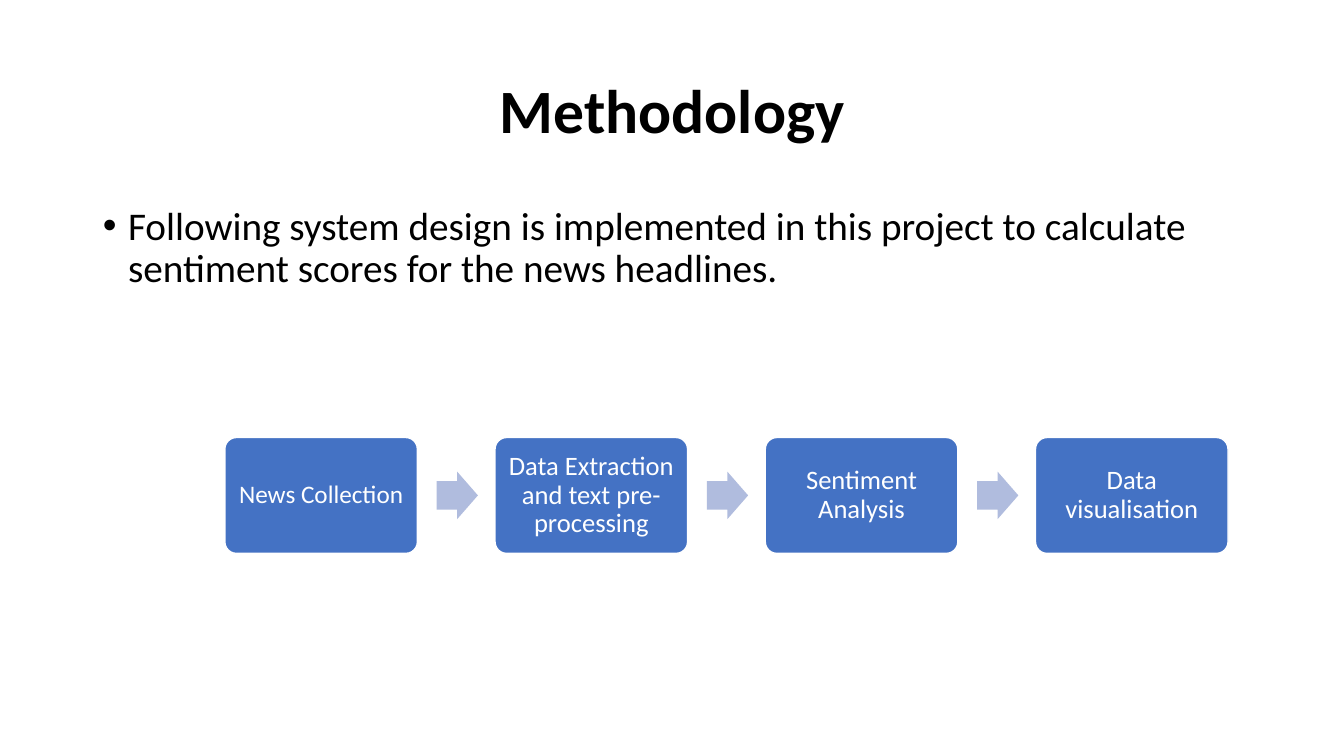
from pptx import Presentation
from pptx.dml.color import RGBColor
from pptx.enum.shapes import MSO_SHAPE as Shape
from pptx.enum.text import MSO_ANCHOR as Anchor, MSO_AUTO_SIZE as AutoSize, PP_ALIGN as Align
from pptx.util import Inches, Pt

# Content
HEADING = "Methodology"
SUMMARY = ("Following system design is implemented in this project to calculate "
           "sentiment scores for the news headlines.")
STEPS = [  # label, text size, inset
    ("News Collection", 18, 0.07),
    ("Data Extraction and text pre-processing", 19, 0.08),
    ("Sentiment Analysis", 19, 0.08),
    ("Data visualisation", 19, 0.08),
]

# Layout in inches
STEP_LEFT, STEP_TOP, STEP_W, STEP_H = 2.23, 4.34, 1.91, 1.15
STEP_PITCH = 2.68
ARROW_GAP, ARROW_W, ARROW_H = 0.19, 0.41, 0.47


def color(hex_code):
    return RGBColor.from_string(hex_code)


def place(shape, left, top, width, height):
    shape.left, shape.top = Inches(left), Inches(top)
    shape.width, shape.height = Inches(width), Inches(height)


def write(frame, text, size, hex_code, align, bold=False):
    frame.text = text
    frame.word_wrap = True
    frame.auto_size = AutoSize.NONE
    paragraph = frame.paragraphs[0]
    paragraph.alignment = align
    paragraph.line_spacing = 0.9
    font = paragraph.font
    font.name, font.size, font.bold = "Calibri", Pt(size), bold
    font.color.rgb = color(hex_code)
    return paragraph


def add_block(slide, preset, fill, adjustments, *box):
    block = slide.shapes.add_shape(preset, *map(Inches, box))
    block.shadow.inherit = False
    block.fill.solid()
    block.fill.fore_color.rgb = color(fill)
    block.line.fill.background()
    for i, value in enumerate(adjustments):
        block.adjustments[i] = value
    return block


def main():
    deck = Presentation()
    deck.slide_width, deck.slide_height = Inches(13.33), Inches(7.5)
    slide = deck.slides.add_slide(deck.slide_layouts[1])

    # Heading and summary
    heading, summary = slide.placeholders
    place(heading, 0.92, 0.4, 11.5, 1.45)
    heading.text_frame.vertical_anchor = Anchor.MIDDLE
    write(heading.text_frame, HEADING, 44, "000000", Align.CENTER, bold=True)

    place(summary, 0.92, 2, 11.5, 4.76)
    sentence = write(summary.text_frame, SUMMARY, 28, "000000", Align.LEFT)
    sentence.space_before = Pt(10)
    indents = sentence._p.get_or_add_pPr()
    indents.set("marL", str(Inches(0.25)))
    indents.set("indent", str(Inches(-0.25)))

    # Process steps, with an arrow between each pair
    for i, (label, size, inset) in enumerate(STEPS):
        left = STEP_LEFT + i * STEP_PITCH
        step = add_block(slide, Shape.ROUNDED_RECTANGLE, "4472C4", [0.1],
                         left, STEP_TOP, STEP_W, STEP_H)
        step.line.color.rgb = color("FFFFFF")
        step.line.width = Pt(1)
        frame = step.text_frame
        frame.margin_left = frame.margin_right = Inches(inset)
        frame.margin_top = frame.margin_bottom = Inches(inset)
        frame.vertical_anchor = Anchor.MIDDLE
        write(frame, label, size, "FFFFFF", Align.CENTER)

        if i < len(STEPS) - 1:
            add_block(slide, Shape.RIGHT_ARROW, "B0BCDE", [0.6, 0.5],
                      left + STEP_W + ARROW_GAP, STEP_TOP + (STEP_H - ARROW_H) / 2,
                      ARROW_W, ARROW_H)

    deck.save("out.pptx")


if __name__ == "__main__":
    main()
